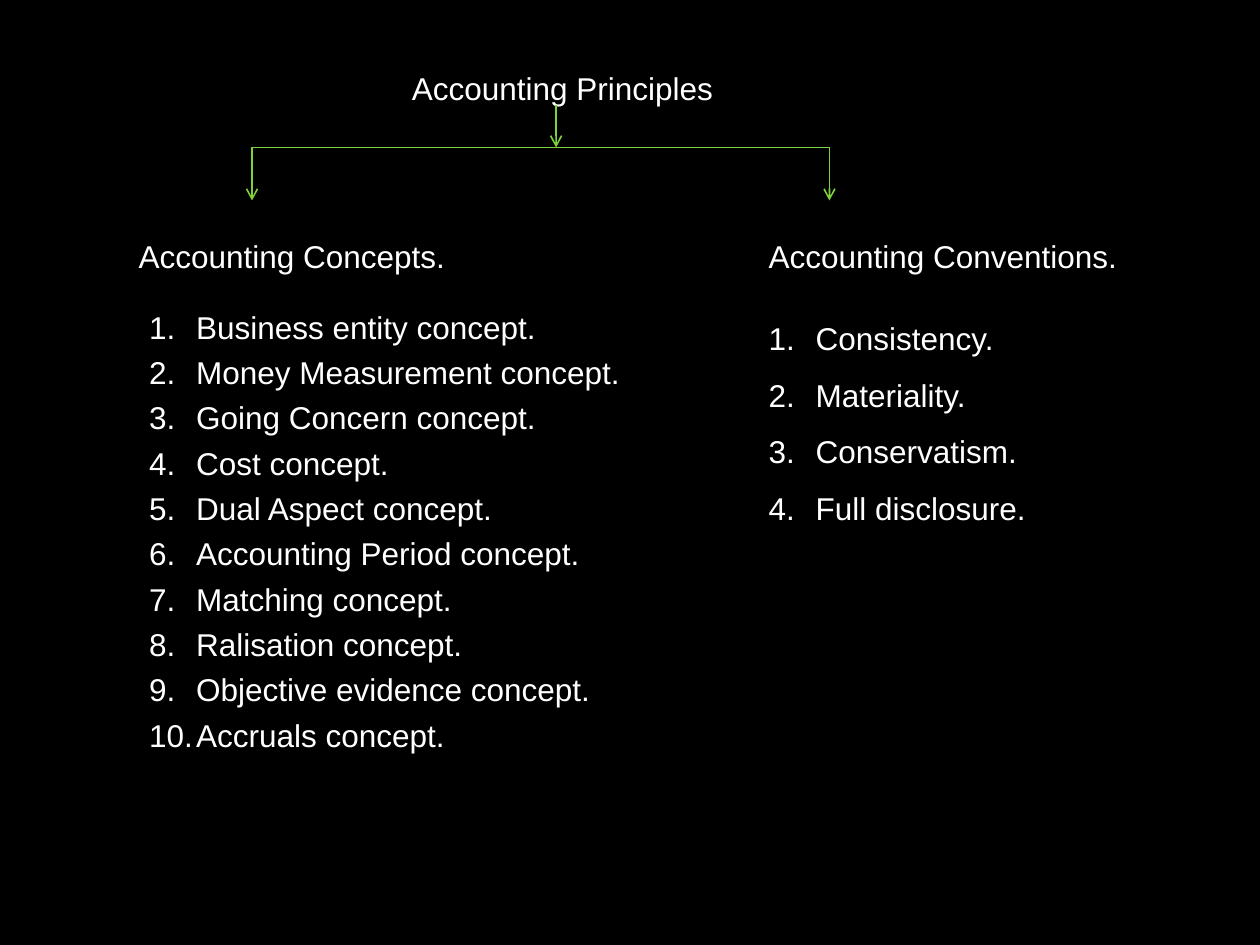
from lxml import etree
from pptx import Presentation
from pptx.dml.color import RGBColor as RGB
from pptx.enum.shapes import MSO_CONNECTOR as CONN
from pptx.enum.text import MSO_ANCHOR as ANCHOR, MSO_AUTO_SIZE as AUTO, PP_ALIGN as ALIGN
from pptx.oxml.ns import qn
from pptx.util import Cm, Pt

COLORS = {"background": "000000", "text": "FFFFFF", "arrow": "7FD13B"}
CONCEPTS = [
    "Business entity concept.", "Money Measurement concept.", "Going Concern concept.",
    "Cost concept.", "Dual Aspect concept.", "Accounting Period concept.",
    "Matching concept.", "Ralisation concept.", "Objective evidence concept.",
    "Accruals concept.",
]
CONVENTIONS = ["Consistency.", "Materiality.", "Conservatism.", "Full disclosure."]


def fill_placeholder(sp, lines, box, spacing=1.0, numbered=False):
    sp.left, sp.top, sp.width, sp.height = (Cm(v) for v in box)
    tf = sp.text_frame
    tf.text = "\n".join(lines)
    tf.word_wrap = True
    tf.auto_size = AUTO.NONE
    tf.vertical_anchor = ANCHOR.TOP
    for p in tf.paragraphs:
        p.alignment = ALIGN.LEFT
        p.line_spacing = spacing
        p.space_before = Pt(0)
        if numbered:
            pPr = p._p.get_or_add_pPr()
            pPr.set("marL", str(Cm(0.95)))
            pPr.set("indent", str(-Cm(0.95)))
            color = etree.SubElement(pPr, qn("a:buClr"))
            etree.SubElement(color, qn("a:srgbClr"), val=COLORS["text"])
            etree.SubElement(pPr, qn("a:buFont"), typeface="Arial")
            etree.SubElement(pPr, qn("a:buAutoNum"), type="arabicPeriod")
        for r in p.runs:
            r.font.name = "Arial"
            r.font.size = Pt(18)
            r.font.bold = False
            r.font.color.rgb = RGB.from_string(COLORS["text"])


def add_line(s, x1, y1, x2, y2, arrow=True):
    line = s.shapes.add_connector(CONN.STRAIGHT, Cm(x1), Cm(y1), Cm(x2), Cm(y2))
    line.line.color.rgb = RGB.from_string(COLORS["arrow"])
    line.line.width = Pt(0.94)
    if arrow:
        etree.SubElement(line.line._get_or_add_ln(), qn("a:tailEnd"), type="arrow")
    etree.SubElement(line._element.spPr, qn("a:effectLst"))


prs = Presentation()
prs.slide_width, prs.slide_height = Cm(25.4), Cm(19.05)
s = prs.slides.add_slide(prs.slide_layouts.get_by_name("Comparison"))
s.background.fill.solid()
s.background.fill.fore_color.rgb = RGB.from_string(COLORS["background"])

title, left_head, left_list, right_head, right_list = list(s.placeholders)[:5]
fill_placeholder(title, ["Accounting Principles"], (8.05, 1.27, 9.96, 1.02))
fill_placeholder(left_head, ["Accounting Concepts."], (2.54, 4.65, 10.36, 1.02))
fill_placeholder(left_list, CONCEPTS, (2.75, 5.92, 10.36, 10.19), 1.2, numbered=True)
fill_placeholder(right_head, ["Accounting Conventions."], (15.24, 4.65, 9.73, 1.02))
fill_placeholder(right_list, CONVENTIONS, (15.24, 5.92, 9.73, 4.83), 1.5, numbered=True)

# Stem from the title, crossbar, and one drop to each column
branch_left, branch_right, bar_y = 5.08, 16.72, 2.97
add_line(s, 11.21, 2.11, 11.21, bar_y)
add_line(s, branch_left, bar_y, branch_right, bar_y, arrow=False)
for x in (branch_left, branch_right):
    add_line(s, x, bar_y, x, 4.04)

prs.save("out.pptx")
